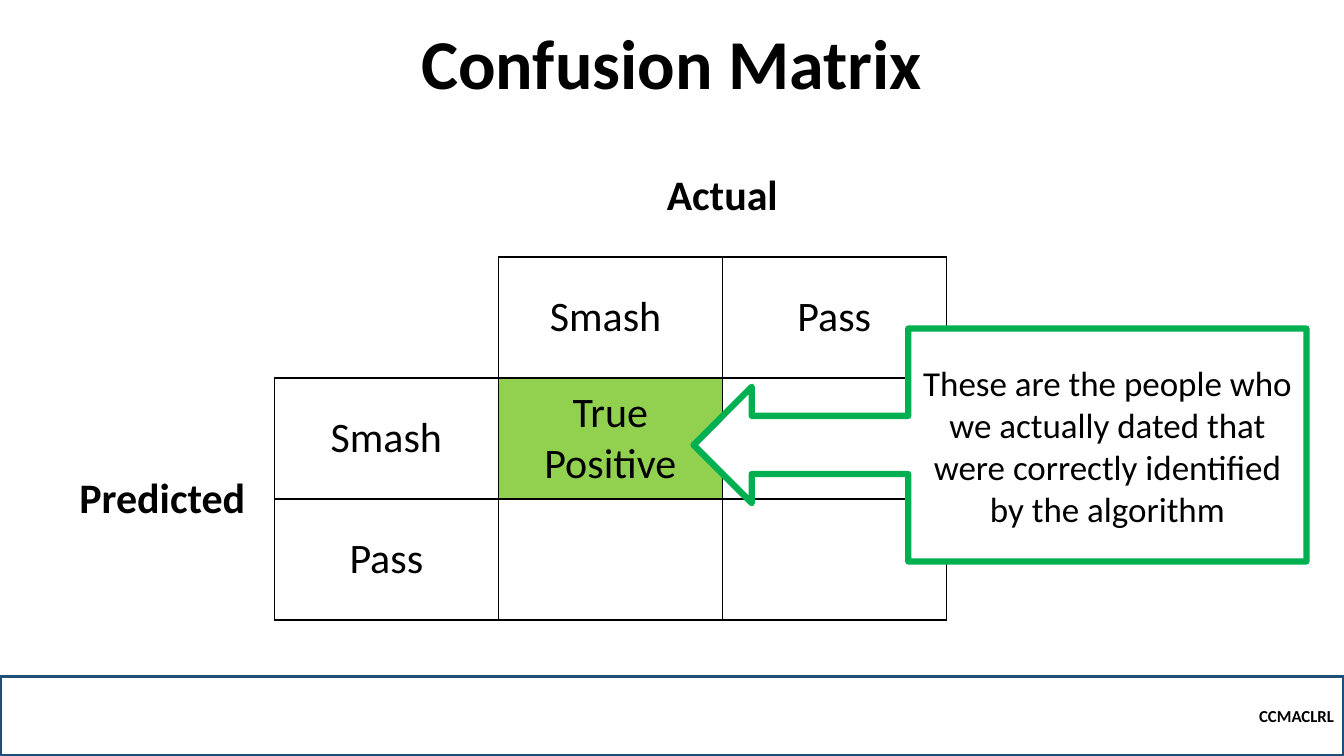
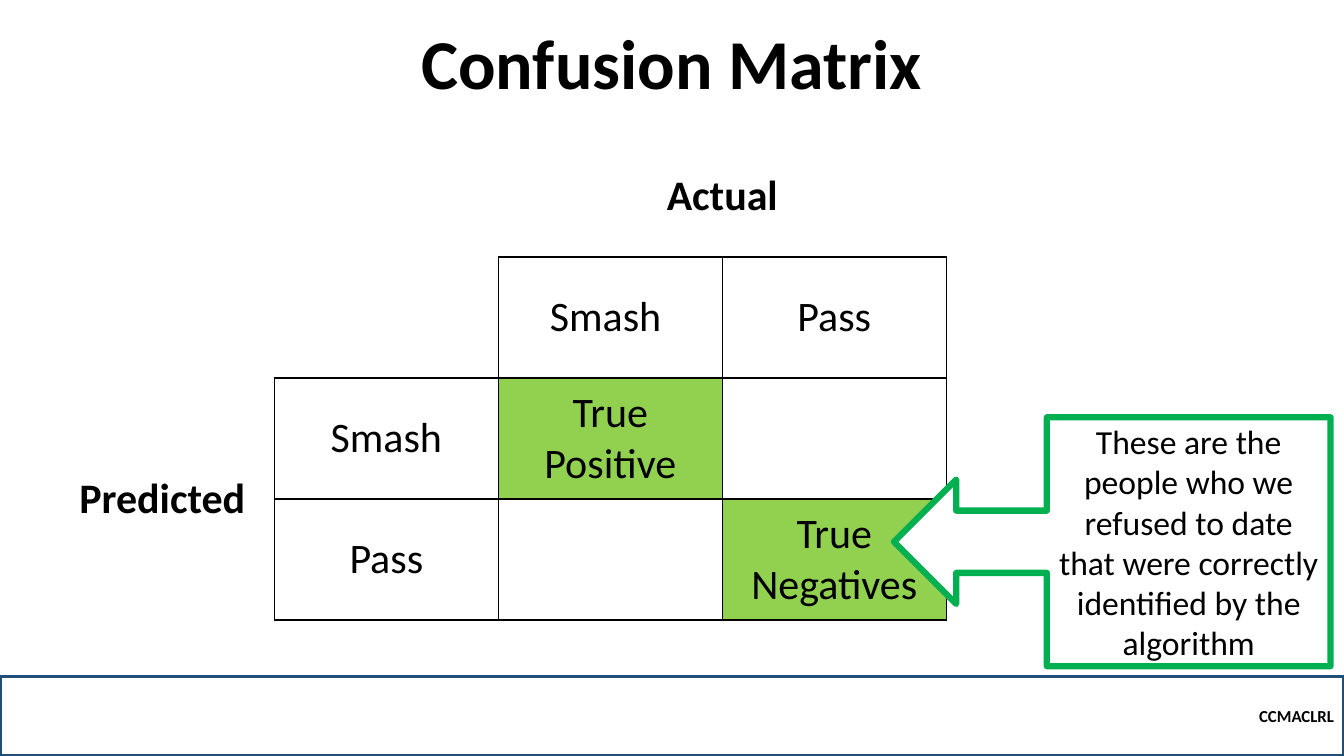
import pptx
import pptx.dml.color
import pptx.enum.shapes
import pptx.enum.text
import pptx.oxml
import pptx.oxml.ns
import pptx.util

Pt = pptx.util.Pt
RGBColor = pptx.dml.color.RGBColor
PP_ALIGN = pptx.enum.text.PP_ALIGN
MSO_ANCHOR = pptx.enum.text.MSO_ANCHOR
MSO_SHAPE = pptx.enum.shapes.MSO_SHAPE

BLACK = RGBColor(0x00, 0x00, 0x00)
WHITE = RGBColor(0xFF, 0xFF, 0xFF)
NAVY = RGBColor(0x1F, 0x4E, 0x79)
GREEN = RGBColor(0x00, 0xB0, 0x50)
LIME = RGBColor(0x92, 0xD0, 0x50)

WIDTH, HEIGHT = 960, 540
FONT = "Calibri"


def write(tf, text, size=30, bold=False, align=PP_ALIGN.CENTER, spacing=None):
    p = tf.paragraphs[0]
    p.alignment = align
    if spacing:
        p.line_spacing = spacing
    r = p.add_run()
    r.text = text
    r.font.name = FONT
    r.font.size = Pt(size)
    r.font.bold = bold
    r.font.color.rgb = BLACK


def in_grid(row, col):
    """Tell whether a cell belongs to the ruled part of the matrix."""
    return 1 <= row <= 3 and 1 <= col <= 3 and (row, col) != (1, 1)


def rule_cell(cell, row, col):
    """Rule each edge that touches the grid; hide the others."""
    tc_pr = cell._tc.get_or_add_tcPr()
    for side, dr, dc in (("L", 0, -1), ("R", 0, 1), ("T", -1, 0), ("B", 1, 0)):
        if in_grid(row, col) or in_grid(row + dr, col + dc):
            paint = f'<a:solidFill><a:srgbClr val="{BLACK}"/></a:solidFill>'
        else:
            paint = "<a:noFill/>"
        tc_pr.append(pptx.oxml.parse_xml(
            f'<a:ln{side} {pptx.oxml.ns.nsdecls("a")} w="{Pt(1)}">{paint}</a:ln{side}>'))


class Deck:
    def __init__(self):
        self.prs = pptx.Presentation()
        self.prs.slide_width, self.prs.slide_height = Pt(WIDTH), Pt(HEIGHT)
        self.s = None

    def add_slide(self, title):
        self.s = self.prs.slides.add_slide(self.prs.slide_layouts[5])
        self.band("CCMACLRL")
        sp = self.s.shapes.title
        sp.left, sp.top, sp.width, sp.height = Pt(36), Pt(21), Pt(888), Pt(57)
        tf = sp.text_frame
        tf.auto_size = pptx.enum.text.MSO_AUTO_SIZE.NONE
        tf.vertical_anchor = MSO_ANCHOR.BOTTOM
        write(tf, title, size=50, bold=True, spacing=0.9)

    def shape(self, kind, x, y, w, h, line, weight, fill=None):
        sp = self.s.shapes.add_shape(kind, Pt(x), Pt(y), Pt(w), Pt(h))
        sp.shadow.inherit = False
        if fill is None:
            sp.fill.background()
        else:
            sp.fill.solid()
            sp.fill.fore_color.rgb = fill
        sp.line.color.rgb = line
        sp.line.width = Pt(weight)
        sp.text_frame.word_wrap = True
        sp.text_frame.vertical_anchor = MSO_ANCHOR.MIDDLE
        return sp

    def band(self, text):
        top = 483
        sp = self.shape(MSO_SHAPE.RECTANGLE, 0, top, WIDTH, HEIGHT - top, NAVY, 2.25)
        write(sp.text_frame, text, size=12, bold=True, align=PP_ALIGN.RIGHT)

    def callout(self, x, y, w, h, text, size):
        sp = self.shape(MSO_SHAPE.LEFT_ARROW_CALLOUT, x, y, w, h, GREEN, 4.5, WHITE)
        write(sp.text_frame, text, size=size)

    def matrix(self, results):
        """Draw the 4 by 4 matrix; results maps (row, column) to a marked cell's text."""
        n, col_width, row_height = 4, 160, 86.4
        table = self.s.shapes.add_table(n, n, Pt(36), Pt(97.2), Pt(n * col_width),
                                        Pt(n * row_height)).table
        table.first_row = table.horz_banding = False
        headings = {(0, 2): "Actual", (2, 0): "Predicted"}
        labels = {(1, 2): "Smash ", (1, 3): "Pass", (2, 1): "Smash", (3, 1): "Pass"}
        texts = {**headings, **labels, **results}
        for row in range(n):
            table.rows[row].height = Pt(row_height)
            table.columns[row].width = Pt(col_width)
            for col in range(n):
                cell, place = table.cell(row, col), (row, col)
                rule_cell(cell, row, col)
                cell.vertical_anchor = MSO_ANCHOR.MIDDLE
                if place in results:
                    cell.fill.solid()
                    cell.fill.fore_color.rgb = LIME
                else:
                    cell.fill.background()
                if place in texts:
                    write(cell.text_frame, texts[place], bold=place in headings)
        table.cell(0, 2).merge(table.cell(0, 3))
        table.cell(2, 0).merge(table.cell(3, 0))


def main():
    deck = Deck()
    true_positive = {(2, 2): "True Positive"}
    true_negative = {(3, 3): "True Negatives"}

    deck.add_slide("Confusion Matrix")
    deck.matrix(true_positive)
    deck.callout(495.4, 234.7, 437.8, 166.3,
                 "These are the people who we actually dated that were correctly "
                 "identified by the algorithm", size=25)

    deck.add_slide("Confusion Matrix")
    deck.matrix({**true_positive, **true_negative})
    deck.callout(638.6, 298.1, 311.8, 177.8,
                 "These are the people who we refused to date that were correctly "
                 "identified by the algorithm", size=24)

    deck.prs.save("out.pptx")


if __name__ == "__main__":
    main()
